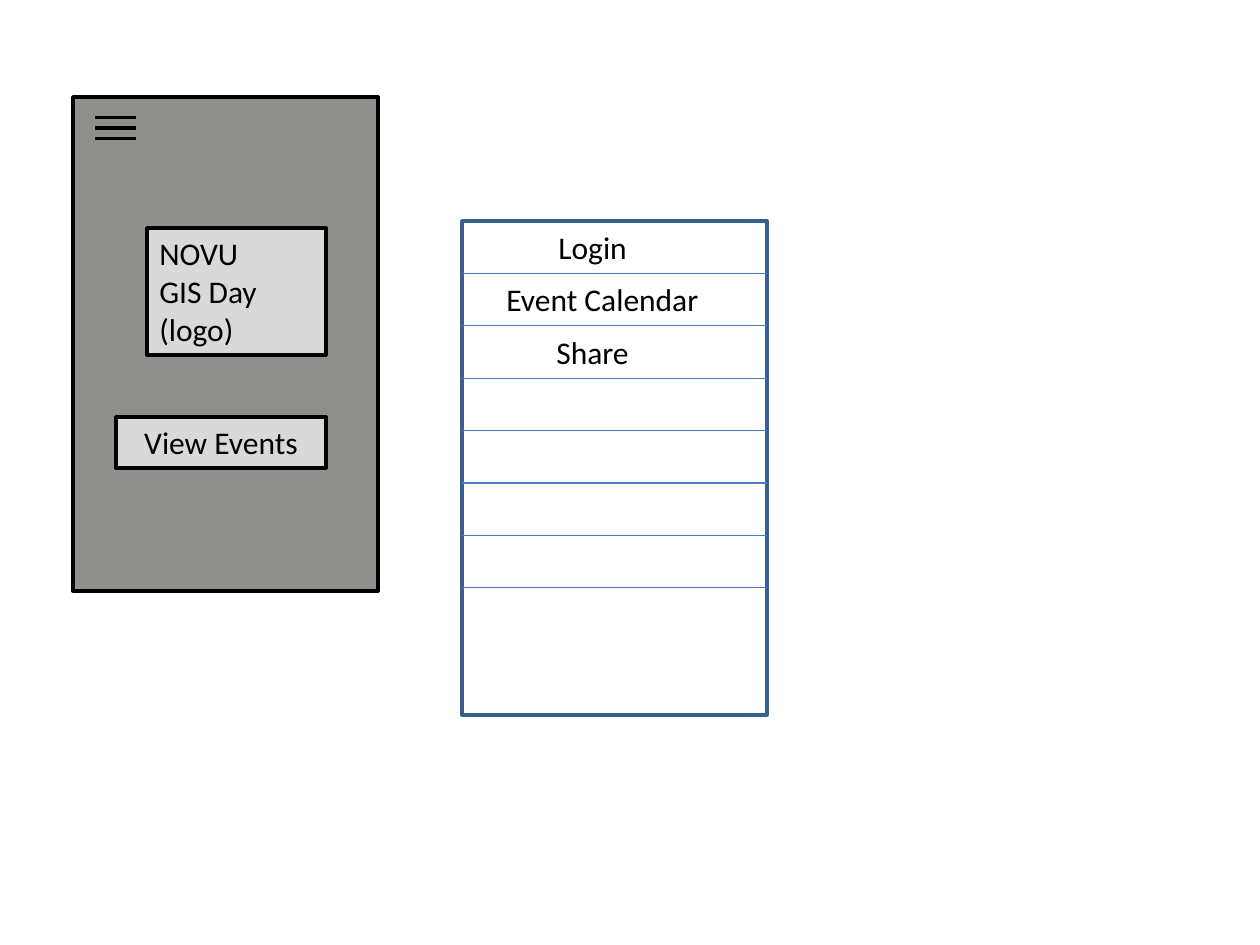
from dataclasses import dataclass

from lxml import etree
from pptx import Presentation
from pptx import util as u
from pptx.dml.color import RGBColor
from pptx.enum import shapes, text
from pptx.oxml.ns import qn

PX = u.Inches(1) / 126


@dataclass(frozen=True)
class Theme:
    """Colours, font and sizes of the slide."""
    ink: str = "000000"
    phone: str = "8F8F8C"
    panel: str = "D9D9D9"
    frame: str = "3A5F8C"
    rule: str = "4B7EBC"
    font: str = "Calibri"
    size: int = 18
    bold: float = 2
    thin: float = 0.75


@dataclass(frozen=True)
class Box:
    """A rectangle in pixels with its look and words."""
    x: int
    y: int
    w: int
    h: int
    fill: str = ""
    line: str = ""
    words: str = ""
    align: text.PP_ALIGN = text.PP_ALIGN.LEFT


THEME = Theme()


def emu(px: float) -> u.Emu:
    """Turn pixels into EMU."""
    return u.Emu(round(px * PX))


def write(shape, box: Box) -> None:
    """Set and format the words of a shape."""
    frame = shape.text_frame
    frame.text = box.words
    frame.word_wrap = True
    frame.vertical_anchor = text.MSO_ANCHOR.TOP
    for para in frame.paragraphs:
        para.alignment = box.align
        for run in para.runs:
            run.font.name = THEME.font
            run.font.size = u.Pt(THEME.size)
            run.font.color.rgb = RGBColor.from_string(THEME.ink)


def draw(pen, box: Box) -> None:
    """Draw a rectangle, or a plain text box if it has no line."""
    place = [emu(v) for v in (box.x, box.y, box.w, box.h)]
    if not box.line:
        write(pen.add_textbox(*place), box)
        return
    shape = pen.add_shape(shapes.MSO_SHAPE.RECTANGLE, *place)
    shape.shadow.inherit = False
    if box.fill:
        shape.fill.solid()
        shape.fill.fore_color.rgb = RGBColor.from_string(box.fill)
    else:
        shape.fill.background()
    shape.line.color.rgb = RGBColor.from_string(box.line)
    shape.line.width = u.Pt(THEME.bold)
    if box.words:
        write(shape, box)


def rule(pen, x: int, y: float, w: int, color: str, width: float) -> None:
    """Draw a level line."""
    line = pen.add_connector(shapes.MSO_CONNECTOR.STRAIGHT,
                             emu(x), emu(y), emu(x + w), emu(y))
    line.line.color.rgb = RGBColor.from_string(color)
    line.line.width = u.Pt(width)
    etree.SubElement(line._element.spPr, qn("a:effectLst"))


def phone(pen) -> None:
    """Draw the home screen with its menu icon and two panels."""
    draw(pen, Box(73, 97, 305, 494, THEME.phone, THEME.ink))
    for row in range(3):
        rule(pen, 95, 117.5 + row * 10.5, 41, THEME.ink, THEME.bold)
    draw(pen, Box(147, 228, 179, 127, THEME.panel, THEME.ink,
                  "NOVU \vGIS Day\n(logo)"))
    draw(pen, Box(116, 417, 210, 51, THEME.panel, THEME.ink,
                  "View Events", text.PP_ALIGN.CENTER))


def menu(pen) -> None:
    """Draw the menu screen with its ruled rows and entries."""
    left, top, wide, step = 462, 221, 305, 52.4
    draw(pen, Box(left, top, wide, 494, line=THEME.frame))
    for row in range(1, 8):
        rule(pen, left, top + row * step, wide, THEME.rule, THEME.thin)
    items = (("Login", 546, 158), ("Event Calendar", 494, 242),
             ("Share", 544, 158))
    for row, (words, x, w) in enumerate(items):
        draw(pen, Box(x, round(top + 1 + row * step), w, 51, words=words))


def main() -> None:
    """Build and save the slide."""
    deck = Presentation()
    deck.slide_width, deck.slide_height = u.Inches(10), u.Inches(7.5)
    slide = deck.slides.add_slide(deck.slide_layouts[6])
    phone(slide.shapes)
    menu(slide.shapes.add_group_shape().shapes)
    deck.save("out.pptx")


main()
